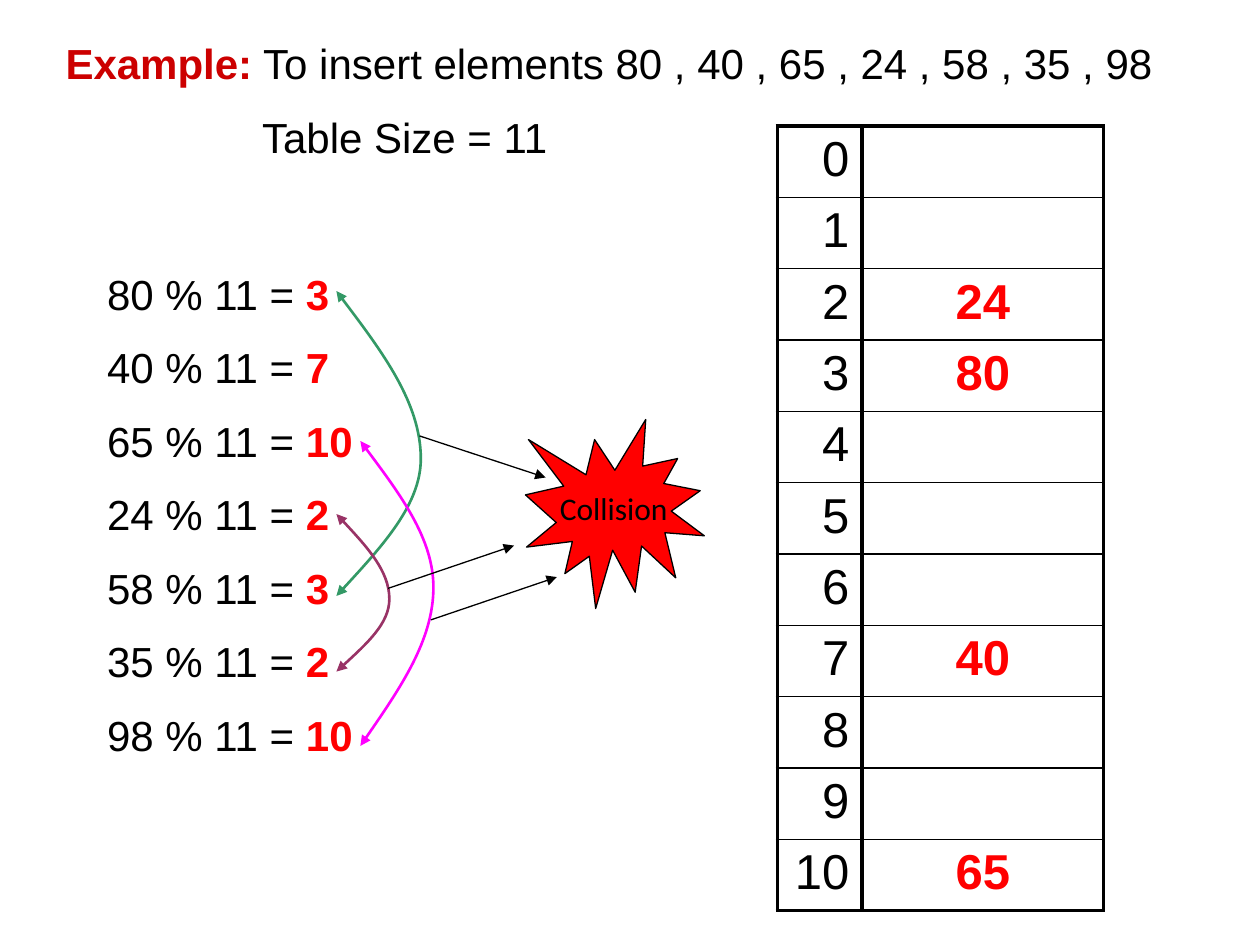
from pptx import Presentation
from pptx.dml.color import RGBColor
from pptx.enum.shapes import MSO_CONNECTOR, MSO_SHAPE
from pptx.enum.text import MSO_ANCHOR, MSO_AUTO_SIZE, PP_ALIGN
from pptx.oxml.ns import qn
from pptx.util import Inches, Pt
from lxml import etree

LEFT, RIGHT, CENTER = PP_ALIGN.LEFT, PP_ALIGN.RIGHT, PP_ALIGN.CENTER
JUSTIFY = PP_ALIGN.JUSTIFY
TOP, MIDDLE = MSO_ANCHOR.TOP, MSO_ANCHOR.MIDDLE
NO_AUTOFIT = MSO_AUTO_SIZE.NONE
STRAIGHT = MSO_CONNECTOR.STRAIGHT
BURST = MSO_SHAPE.EXPLOSION1

BLACK, RED, DARK_RED = "000000", "FF0000", "CC0000"
TABLE_SIZE = 11
KEYS = [80, 40, 65, 24, 58, 35, 98]
STORED = {2: "24", 3: "80", 7: "40", 10: "65"}


def color(hex_string):
    return RGBColor.from_string(hex_string)


def style_font(font, size, hex_string, bold=False, name="Arial"):
    font.name, font.size, font.bold = name, Pt(size), bold
    font.color.rgb = color(hex_string)


def add_run(paragraph, text, hex_string, bold):
    run = paragraph.add_run()
    run.text = text
    run.font.color.rgb = color(hex_string)
    run.font.bold = bold


def place(shape, box):
    shape.left, shape.top, shape.width, shape.height = map(Inches, box)


def prepare_frame(placeholder, box):
    place(placeholder, box)
    frame = placeholder.text_frame
    frame.word_wrap, frame.auto_size = True, NO_AUTOFIT
    frame.vertical_anchor = TOP
    return frame


def next_paragraph(frame, is_first, align, margin=0):
    paragraph = frame.paragraphs[0] if is_first else frame.add_paragraph()
    properties = paragraph._p.get_or_add_pPr()
    properties.set("marL", str(Inches(margin)))
    properties.set("indent", "0")
    etree.SubElement(properties, qn("a:buNone"))
    paragraph.alignment = align
    paragraph.line_spacing = 1.0
    paragraph.space_before = Pt(0 if is_first else 13.2)
    style_font(paragraph.font, 24, BLACK)
    return paragraph


def add_arrowhead(line, *ends):
    outline = line._get_or_add_ln()
    for end in ends:
        etree.SubElement(outline, qn(f"a:{end}"), type="triangle")


def add_heading(slide, box):
    frame = prepare_frame(slide.shapes.title, box)
    task = next_paragraph(frame, True, LEFT)
    add_run(task, "Example:", DARK_RED, True)
    add_run(task, " To insert elements " + " , ".join(map(str, KEYS)), BLACK, False)
    size = next_paragraph(frame, False, LEFT, margin=1.56)
    add_run(size, f"Table Size = {TABLE_SIZE}", BLACK, False)


def add_hash_list(slide, box):
    frame = prepare_frame(slide.placeholders[1], box)
    for i, key in enumerate(KEYS):
        paragraph = next_paragraph(frame, i == 0, JUSTIFY)
        add_run(paragraph, f"{key} % {TABLE_SIZE} = ", BLACK, False)
        add_run(paragraph, str(key % TABLE_SIZE), RED, True)


def set_borders(cell, widths):
    properties = cell._tc.get_or_add_tcPr()
    for i, (side, width) in enumerate(zip("LRTB", widths)):
        border = etree.Element(qn(f"a:ln{side}"), w=str(Pt(width)))
        fill = etree.SubElement(border, qn("a:solidFill"))
        etree.SubElement(fill, qn("a:srgbClr"), val=BLACK)
        properties.insert(i, border)


def add_column(slide, box, texts, align, hex_string, bold):
    table = slide.shapes.add_table(len(texts), 1, *map(Inches, box)).table
    table.first_row = table.horz_banding = False
    last = len(texts) - 1
    for i, text in enumerate(texts):
        table.rows[i].height = Inches(box[3] / len(texts))
        cell = table.cell(i, 0)
        cell.fill.background()
        set_borders(cell, (2.25, 2.25, 2.25 if i == 0 else 1, 2.25 if i == last else 1))
        if text:
            cell.text = text
            paragraph = cell.text_frame.paragraphs[0]
            paragraph.alignment = align
            style_font(paragraph.font, 28, hex_string, bold)


def add_hash_table(slide, box):
    left, top, width, height = box
    index_width = 0.67
    slots = range(TABLE_SIZE)
    add_column(slide, (left + index_width, top, width - index_width, height),
               [STORED.get(i, "") for i in slots], CENTER, RED, True)
    add_column(slide, (left, top, index_width, height),
               [str(i) for i in slots], RIGHT, BLACK, False)


def add_collision_curve(slide, box, bend, hex_string):
    """Join two equal hashes by an arc whose widest point is at the share bend."""
    left, top, width, height = map(Inches, box)
    middle = int(height * bend)
    builder = slide.shapes.build_freeform(left, top)
    builder.add_line_segments(
        [(left + width, top + middle), (left, top + height)], close=False)
    curve = builder.convert_to_shape()
    curve.shadow.inherit = False
    curve.fill.background()
    curve.line.color.rgb = color(hex_string)
    curve.line.width = Pt(1.5)
    add_arrowhead(curve.line, "headEnd", "tailEnd")

    # Turn both straight segments into cubic ones
    rest = height - middle
    controls = [
        [(width / 2, middle / 3), (width, middle * 2 / 3)],
        [(width, middle + rest / 3), (width / 2, middle + rest * 2 / 3)],
    ]
    segments = list(curve._element.iter(qn("a:lnTo")))
    for segment, points in zip(segments, controls):
        segment.tag = qn("a:cubicBezTo")
        for i, (x, y) in enumerate(points):
            segment.insert(i, etree.Element(qn("a:pt"), x=str(int(x)), y=str(int(y))))


def add_pointer(slide, start, end):
    pointer = slide.shapes.add_connector(STRAIGHT, *map(Inches, start + end))
    pointer.line.color.rgb = color(BLACK)
    pointer.line.width = Pt(0.75)
    add_arrowhead(pointer.line, "tailEnd")
    etree.SubElement(pointer._element.spPr, qn("a:effectLst"))


def add_burst(slide, box):
    burst = slide.shapes.add_shape(BURST, *map(Inches, box))
    burst.shadow.inherit = False
    burst.fill.solid()
    burst.fill.fore_color.rgb = color(RED)
    burst.line.color.rgb = color(BLACK)
    burst.line.width = Pt(0.75)
    frame = burst.text_frame
    frame.word_wrap = False
    frame.vertical_anchor = MIDDLE
    frame.text = "Collision"
    label = frame.paragraphs[0]
    label.alignment = CENTER
    style_font(label.font, 18, BLACK, name="Calibri")


def add_collisions(slide):
    add_collision_curve(slide, (2.67, 2.31, 0.67, 2.42), 0.55, "339966")
    add_collision_curve(slide, (2.67, 4.08, 0.42, 1.25), 0.54, "993366")
    add_collision_curve(slide, (2.86, 3.5, 0.58, 2.42), 0.48, "FF00FF")
    add_burst(slide, (4.17, 3.33, 1.42, 1.5))
    add_pointer(slide, (3.33, 3.46), (4.33, 3.79))
    add_pointer(slide, (3.08, 4.67), (4.08, 4.33))
    add_pointer(slide, (3.42, 4.92), (4.42, 4.58))


def main():
    deck = Presentation()
    deck.slide_width, deck.slide_height = Inches(10), Inches(7.5)
    slide = deck.slides.add_slide(deck.slide_layouts[1])
    add_heading(slide, (0.42, 0.25, 9.25, 1.1))
    add_hash_list(slide, (0.75, 2.08, 2.67, 4.09))
    add_hash_table(slide, (6.17, 1, 2.59, 6.23))
    add_collisions(slide)
    deck.save("out.pptx")


if __name__ == "__main__":
    main()
